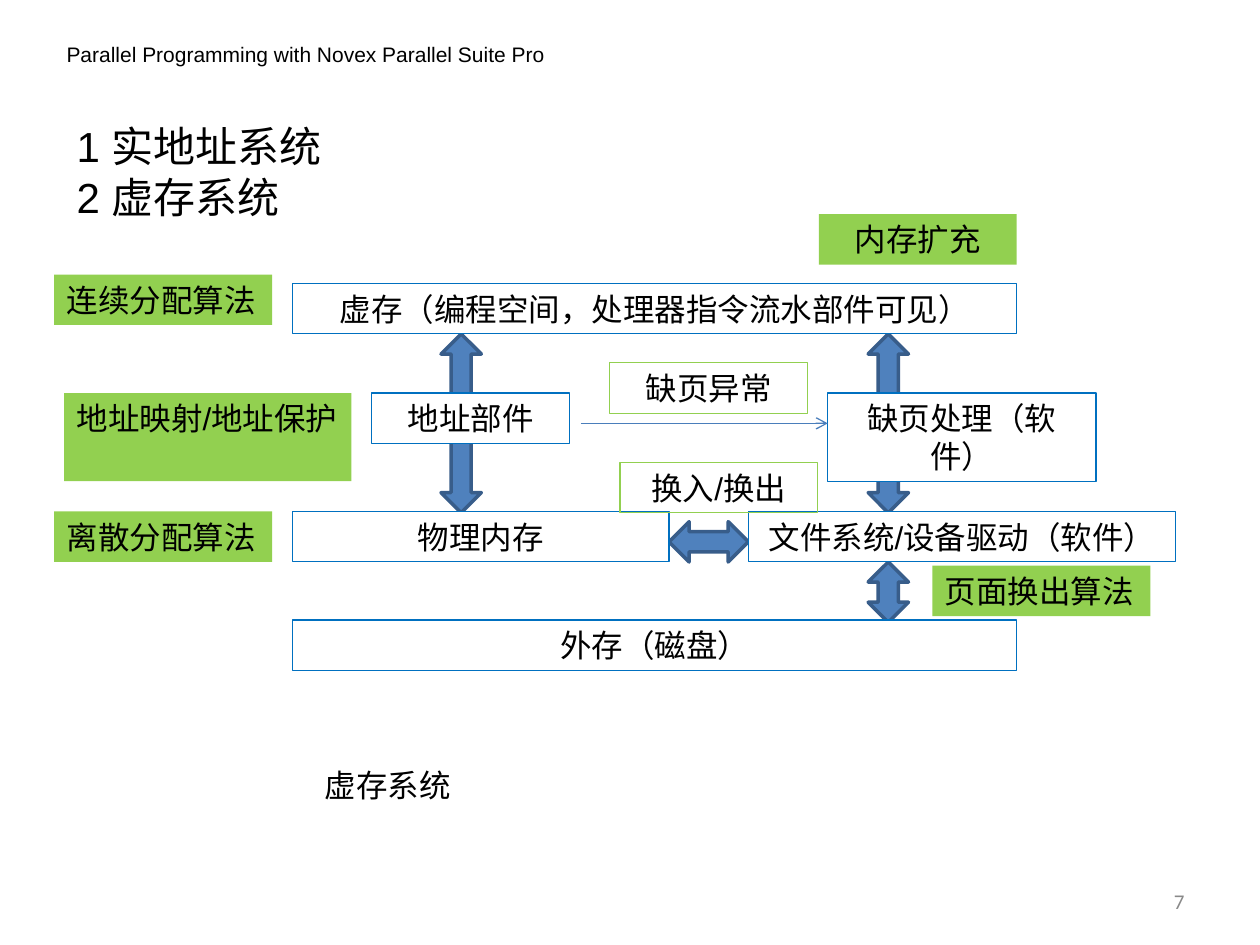
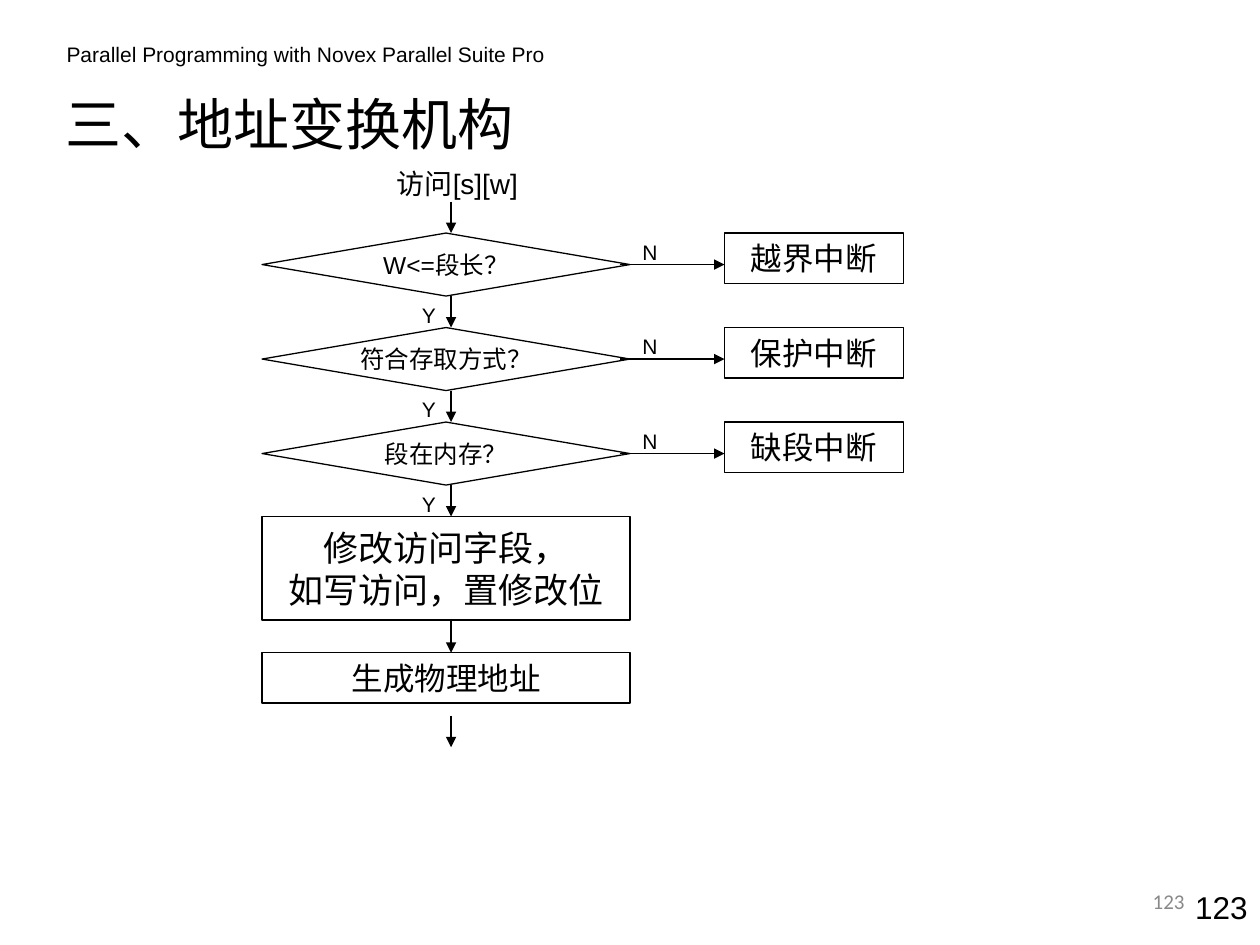
from lxml import etree
from pptx import Presentation
from pptx.dml.color import RGBColor
from pptx.enum.shapes import MSO_CONNECTOR, MSO_SHAPE
from pptx.enum.text import MSO_ANCHOR, PP_ALIGN
from pptx.oxml.ns import qn
from pptx.util import Inches, Pt

RECT, DIAMOND = MSO_SHAPE.RECTANGLE, MSO_SHAPE.DIAMOND
UP_DOWN, LEFT_RIGHT = MSO_SHAPE.UP_DOWN_ARROW, MSO_SHAPE.LEFT_RIGHT_ARROW
STRAIGHT = MSO_CONNECTOR.STRAIGHT
LEFT, CENTER, RIGHT = PP_ALIGN.LEFT, PP_ALIGN.CENTER, PP_ALIGN.RIGHT
TOP, MIDDLE = MSO_ANCHOR.TOP, MSO_ANCHOR.MIDDLE

BLACK = RGBColor(0x00, 0x00, 0x00)
WHITE = RGBColor(0xFF, 0xFF, 0xFF)
GRAY = RGBColor(0x89, 0x89, 0x89)
BLUE = RGBColor(0x00, 0x70, 0xC0)
GREEN = RGBColor(0x92, 0xD0, 0x50)
ARROW_FILL = RGBColor(0x4F, 0x81, 0xBD)
ARROW_EDGE = RGBColor(0x38, 0x5D, 0x8A)
SIGNAL = RGBColor(0x4A, 0x7E, 0xBB)

TITLE_FONT = "Noto Sans CJK SC"
HEADER = "Parallel Programming with Novex Parallel Suite Pro"

OUTLINE = ["1 实地址系统", "2 虚存系统"]
CAPTION = "虚存系统"
EXCHANGES = [
    (UP_DOWN, (3.5, 2.65, 0.32, 1.42)),
    (UP_DOWN, (6.89, 2.65, 0.32, 1.42)),
    (UP_DOWN, (6.89, 4.46, 0.32, 0.48)),
    (LEFT_RIGHT, (5.31, 4.14, 0.63, 0.32)),
]
COMPONENTS = [
    ("虚存（编程空间，处理器指令流水部件可见）", (2.32, 2.25, 5.75, 0.4)),
    ("物理内存", (2.32, 4.06, 2.99, 0.4)),
    ("外存（磁盘）", (2.32, 4.92, 5.75, 0.4)),
    ("文件系统/设备驱动（软件）", (5.94, 4.06, 3.39, 0.4)),
    ("地址部件", (2.95, 3.12, 1.57, 0.4)),
    ("缺页处理（软件）", (6.57, 3.12, 2.13, 0.7)),
]
EVENTS = [
    ("缺页异常", (4.84, 2.88, 1.57, 0.4)),
    ("换入/换出", (4.92, 3.67, 1.57, 0.4)),
]
TOPICS = [
    ("连续分配算法", (0.43, 2.18, 1.73, 0.4), LEFT),
    ("离散分配算法", (0.43, 4.06, 1.73, 0.4), LEFT),
    ("地址映射/地址保护", (0.51, 3.12, 2.28, 0.7), LEFT),
    ("内存扩充", (6.5, 1.7, 1.57, 0.4), CENTER),
    ("页面换出算法", (7.4, 4.49, 1.73, 0.4), LEFT),
]

TRANSLATION_TITLE = "三、地址变换机构"
ACCESS = "访问[s][w]"
CHECKS = [
    ("W<=段长？", "越界中断"),
    ("符合存取方式？", "保护中断"),
    ("段在内存？", "缺段中断"),
]
UPDATE = ["修改访问字段，", "如写访问，置修改位"]
RESULT = "生成物理地址"
FLOW_LEFT, FLOW_WIDTH, FLOW_X = 2.08, 2.92, 3.58
CHECK_TOP, CHECK_HEIGHT, CHECK_STEP = 1.85, 0.5, 0.75
INTERRUPT_LEFT, STEP_ARROW = 5.75, 0.25


def write(shape, lines, size=18, align=CENTER, anchor=TOP, color=BLACK,
          font="Arial", inset=(0.1, 0.05)):
    frame = shape.text_frame
    frame.word_wrap = True
    frame.vertical_anchor = anchor
    frame.margin_left = frame.margin_right = Inches(inset[0])
    frame.margin_top = frame.margin_bottom = Inches(inset[1])
    frame.text = "\n".join([lines] if isinstance(lines, str) else lines)
    for paragraph in frame.paragraphs:
        paragraph.alignment = align
        paragraph.font.size = Pt(size)
        paragraph.font.name = font
        paragraph.font.color.rgb = color


def add_text(slide, lines, place, **style):
    write(slide.shapes.add_textbox(*map(Inches, place)), lines, **style)


def add_block(slide, kind, place, fill=None, edge=None, weight=0.75):
    block = slide.shapes.add_shape(kind, *map(Inches, place))
    block.shadow.inherit = False
    if fill is None:
        block.fill.background()
    else:
        block.fill.solid()
        block.fill.fore_color.rgb = fill
    if edge is None:
        block.line.fill.background()
    else:
        block.line.color.rgb = edge
        block.line.width = Pt(weight)
    return block


def add_arrow(slide, start, end, color=BLACK, head="triangle"):
    arrow = slide.shapes.add_connector(STRAIGHT, *map(Inches, start + end))
    arrow.line.color.rgb = color
    arrow.line.width = Pt(0.75)
    etree.SubElement(arrow.line._get_or_add_ln(), qn("a:tailEnd"), type=head)
    etree.SubElement(arrow._element.spPr, qn("a:effectLst"))


def add_slide(deck, layout, number):
    slide = deck.slides.add_slide(deck.slide_layouts.get_by_name(layout))
    add_text(slide, HEADER, (0.43, 0.28, 4.1, 0.3), size=12, align=LEFT)
    add_text(slide, number, (7.17, 6.95, 2.33, 0.4), size=12, align=RIGHT,
             anchor=MIDDLE, color=GRAY, font="Calibri")
    return slide


def build_virtual_memory(deck):
    slide = add_slide(deck, "Blank", "7")
    add_text(slide, OUTLINE, (0.51, 0.91, 2.91, 0.9), size=24, align=LEFT)
    for kind, place in EXCHANGES:
        add_block(slide, kind, place, ARROW_FILL, ARROW_EDGE, 2)
    for label, place in COMPONENTS:
        write(add_block(slide, RECT, place, WHITE, BLUE), label)
    add_arrow(slide, (4.61, 3.36), (6.57, 3.36), SIGNAL, "arrow")
    for label, place in EVENTS:
        write(add_block(slide, RECT, place, edge=GREEN), label)
    for label, place, align in TOPICS:
        write(add_block(slide, RECT, place, GREEN), label, align=align)
    add_text(slide, CAPTION, (2.48, 6.03, 2.91, 0.4), align=LEFT)


def build_translation(deck):
    slide = add_slide(deck, "Title Only", "123")
    title = slide.shapes.title
    title.left, title.top, title.width, title.height = map(
        Inches, (0.42, 0.6, 8.92, 0.75))
    write(title, TRANSLATION_TITLE, size=32, align=LEFT, anchor=MIDDLE,
          font=TITLE_FONT)
    add_text(slide, "123", (9.17, 7, 0.83, 0.4), align=RIGHT)
    add_text(slide, ACCESS, (2.92, 1.27, 1.42, 0.37), size=16)

    flow_right = FLOW_LEFT + FLOW_WIDTH
    arrow_tops = [CHECK_TOP - STEP_ARROW, 4.93, 5.68]
    for index, (question, interrupt) in enumerate(CHECKS):
        top = CHECK_TOP + index * CHECK_STEP
        bottom, middle = top + CHECK_HEIGHT, top + CHECK_HEIGHT / 2
        check = add_block(slide, DIAMOND,
                          (FLOW_LEFT, top, FLOW_WIDTH, CHECK_HEIGHT), edge=BLACK)
        write(check, question, size=14, anchor=MIDDLE, inset=(0, 0))
        handler = add_block(slide, RECT, (INTERRUPT_LEFT, top, 1.42, 0.4),
                            edge=BLACK)
        write(handler, interrupt, inset=(0, 0.05))
        add_arrow(slide, (flow_right - 0.08, middle), (INTERRUPT_LEFT, middle))
        add_text(slide, "N", (flow_right, top, 0.33, 0.3), size=12, align=LEFT)
        add_text(slide, "Y", (3.25, bottom, 0.33, 0.3), size=12, align=LEFT)
        arrow_tops.append(bottom)

    update = add_block(slide, RECT, (FLOW_LEFT, 4.1, FLOW_WIDTH, 0.82), edge=BLACK)
    write(update, UPDATE, size=20, inset=(0, 0.08))
    result = add_block(slide, RECT, (FLOW_LEFT, 5.18, FLOW_WIDTH, 0.4), edge=BLACK)
    write(result, RESULT)
    for top in arrow_tops:
        add_arrow(slide, (FLOW_X, top), (FLOW_X, top + STEP_ARROW))


def main():
    deck = Presentation()
    deck.slide_width, deck.slide_height = Inches(10), Inches(7.5)
    build_virtual_memory(deck)
    build_translation(deck)
    deck.save("out.pptx")


if __name__ == "__main__":
    main()
